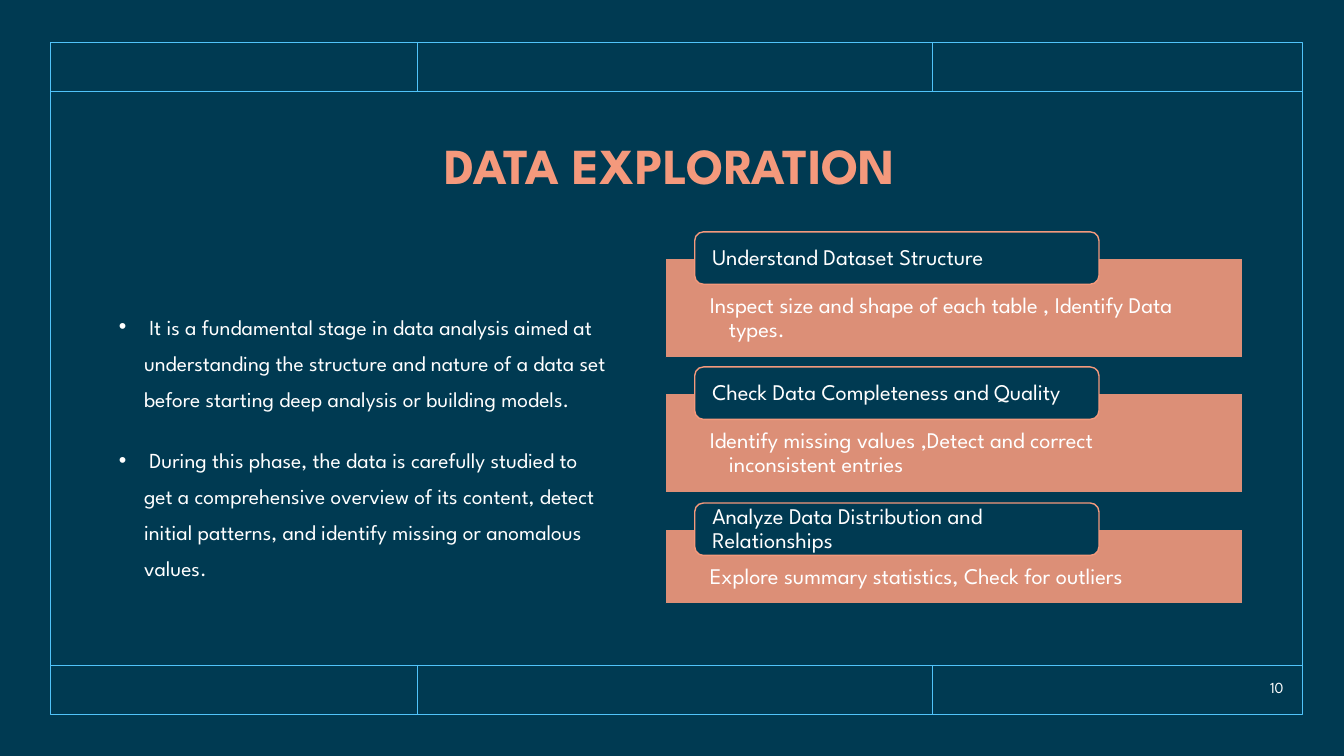
import pptx
import pptx.dml.color
import pptx.enum.shapes
import pptx.enum.text
import pptx.oxml.ns
import pptx.util
import lxml.etree
import dataclasses

PX = 9144  # 100 px to the inch
KIND = pptx.enum.shapes.MSO_SHAPE
ALIGN = pptx.enum.text.PP_ALIGN
ANCHOR = pptx.enum.text.MSO_ANCHOR


@dataclasses.dataclass(frozen=True)
class Theme:
    font: str = "League Spartan"
    navy: str = "003A52"
    sky: str = "51C3F9"
    coral: str = "F4997C"
    white: str = "FFFFFF"
    title: float = 36
    body: float = 15.3
    card: float = 16
    number: float = 11


THEME = Theme()

POINTS = [
    " It is a fundamental stage in data analysis aimed at understanding the structure "
    "and nature of a data set before starting deep analysis or building models.",
    " During this phase, the data is carefully studied to get a comprehensive overview "
    "of its content, detect initial patterns, and identify missing or anomalous values.",
]
CARDS = [
    ("Understand Dataset Structure",
     "Inspect size and shape of each table , Identify Data types.", 99),
    ("Check Data Completeness and Quality",
     "Identify missing values ,Detect and correct inconsistent entries", 99),
    ("Analyze Data Distribution and Relationships",
     "Explore summary statistics, Check for outliers", 74),
]


def px(*sizes):
    return [pptx.util.Emu(size * PX) for size in sizes]


def rgb(code):
    return pptx.dml.color.RGBColor.from_string(code)


def add_xml(parent, tag, **attrs):
    node = lxml.etree.SubElement(parent, pptx.oxml.ns.qn(tag))
    for key, value in attrs.items():
        node.set(key, value)
    return node


def put_text(shape, *lines, size, color=THEME.white, bold=False, align=ALIGN.LEFT,
             anchor=ANCHOR.MIDDLE, inset=(10, 5, 10, 5), space=1.0, before=0,
             hang=0, bullet=None):
    frame = shape.text_frame
    frame.word_wrap = True
    frame.vertical_anchor = anchor
    (frame.margin_left, frame.margin_top,
     frame.margin_right, frame.margin_bottom) = px(*inset)
    for index, line in enumerate(lines):
        para = frame.paragraphs[0] if index == 0 else frame.add_paragraph()
        para.alignment = align
        para.line_spacing = space
        para.space_before = pptx.util.Pt(before)
        props = para._p.get_or_add_pPr()
        if hang:
            props.set("marL", str(hang * PX))
            props.set("indent", str(-hang * PX))
        if bullet:
            add_xml(props, "a:buFont", typeface="Arial")
            add_xml(props, "a:buChar", char=bullet)
        run = para.add_run()
        run.text = line
        run.font.name = THEME.font
        run.font.size = pptx.util.Pt(size)
        run.font.bold = bold
        run.font.color.rgb = rgb(color)


def add_text(slide, box, *lines, **format):
    put_text(slide.shapes.add_textbox(*px(*box)), *lines, **format)


def add_box(slide, kind, box, line, fill=None, alpha=None):
    shape = slide.shapes.add_shape(kind, *px(*box))
    shape.shadow.inherit = False
    shape.line.color.rgb = rgb(line)
    shape.line.width = pptx.util.Pt(1)
    if fill:
        shape.fill.solid()
        shape.fill.fore_color.rgb = rgb(fill)
    else:
        shape.fill.background()
    if alpha:
        tint = shape._element.spPr.find(".//" + pptx.oxml.ns.qn("a:srgbClr"))
        add_xml(tint, "a:alpha", val=str(alpha * 1000))
    return shape


def add_line(slide, *ends):
    line = slide.shapes.add_connector(
        pptx.enum.shapes.MSO_CONNECTOR.STRAIGHT, *px(*ends))
    line.line.color.rgb = rgb(THEME.sky)
    line.line.width = pptx.util.Pt(1)
    add_xml(line._element.spPr, "a:effectLst")


def draw_frame(slide, box, band=49, stops=(364, 875)):
    left, top, width, height = box
    right, base = left + width, top + height
    add_box(slide, KIND.RECTANGLE, box, THEME.sky)
    # Top and bottom bands, each split by the same stops
    for outer, inner in ((top, top + band), (base, base - band)):
        add_line(slide, left, inner, right, inner)
        for stop in stops:
            add_line(slide, left + stop, inner, left + stop, outer)


def draw_points(slide, box):
    add_text(slide, box, *POINTS, size=THEME.body, space=1.4, before=18,
             hang=25, bullet="•")


def draw_cards(slide, box, gap=35.5):
    left, top, width = box
    for label, detail, height in CARDS:
        # Panel with its detail
        panel = add_box(slide, KIND.RECTANGLE, (left, round(top), width, height),
                        THEME.navy, THEME.coral, alpha=90)
        put_text(panel, detail, size=THEME.card, anchor=ANCHOR.TOP,
                 inset=(44, 36, 44, 12), space=0.9, hang=19)
        # Label across the top edge
        tab = add_box(slide, KIND.ROUNDED_RECTANGLE,
                      (left + 29, round(top) - 26, 401, 52), THEME.coral, THEME.navy)
        put_text(tab, label, size=THEME.card, inset=(15, 0, 15, 0), space=0.9)
        top += height + gap


def main():
    deck = pptx.Presentation()
    deck.slide_width, deck.slide_height = px(1333, 750)
    slide = deck.slides.add_slide(deck.slide_layouts[6])
    slide.background.fill.solid()
    slide.background.fill.fore_color.rgb = rgb(THEME.navy)

    draw_frame(slide, (50, 42, 1242, 667))
    # Title
    add_text(slide, (50, 91, 1242, 152), "DATA EXPLORATION ", size=THEME.title,
             color=THEME.coral, bold=True, align=ALIGN.CENTER, space=0.9)
    draw_points(slide, (108, 252, 508, 373))
    draw_cards(slide, (660, 256, 573))
    # Slide number
    add_text(slide, (1191, 667, 92, 30), "10", size=THEME.number, align=ALIGN.RIGHT)

    deck.save("out.pptx")


if __name__ == "__main__":
    main()
